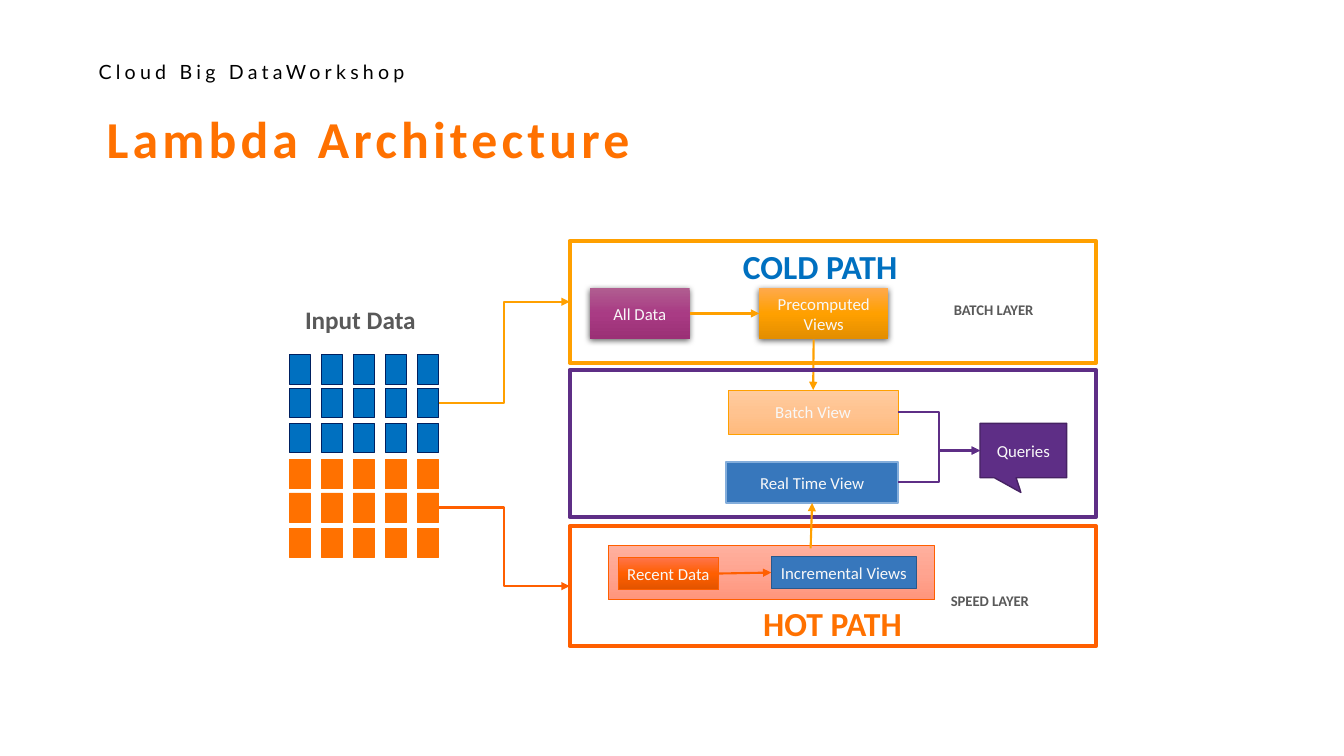
from copy import deepcopy

from lxml import etree
from pptx import Presentation
from pptx import util as u
from pptx.dml.color import RGBColor
from pptx.enum import shapes, text
from pptx.oxml import ns

TOP, LEFT, BOTTOM, RIGHT = range(4)
AMBER, ORANGE, RED = "FFA000", "FF7100", "FF5F00"
BLUE, STEEL, PURPLE = "0070C0", "3777BC", "5E2E86"
GRAY, PALE = "595959", "F8F8F8"


def rgb(value):
    return RGBColor.from_string(value)


def add_xml(parent, tag, **attributes):
    return etree.SubElement(parent, ns.qn(tag), attributes)


class Diagram:
    font_name = "Calibri"

    def __init__(self, slide):
        self.slide = slide

    def format_runs(self, paragraph, size, color, bold=False, font=None, spacing=None):
        for run in paragraph.runs:
            run.font.name = font or self.font_name
            run.font.size = u.Pt(size)
            run.font.bold = bold
            run.font.color.rgb = rgb(color)
            if spacing:
                run.font._element.set("spc", str(spacing * 100))

    def label(self, box, words, size, color, wrap=False, centered=False, line_spacing=0.9,
              insets=(0.1, 0.05), **style):
        shape = self.slide.shapes.add_textbox(*map(u.Inches, box))
        frame = shape.text_frame
        frame.text = words
        frame.word_wrap = wrap
        frame.margin_left = frame.margin_right = u.Inches(insets[0])
        frame.margin_top = frame.margin_bottom = u.Inches(insets[1])
        paragraph = frame.paragraphs[0]
        paragraph.line_spacing = line_spacing
        paragraph.alignment = text.PP_ALIGN.CENTER if centered else text.PP_ALIGN.LEFT
        self.format_runs(paragraph, size, color, **style)

    def box(self, box, words="", fill=None, line=None, width=0.5, shadow=False,
            kind=shapes.MSO_SHAPE.RECTANGLE):
        shape = self.slide.shapes.add_shape(kind, *map(u.Inches, box))
        shape.shadow.inherit = False
        if fill is None:
            shape.fill.background()
        elif isinstance(fill, str):
            shape.fill.solid()
            shape.fill.fore_color.rgb = rgb(fill)
        else:
            self.gradient(shape, fill)
        if line:
            shape.line.color.rgb = rgb(line)
            shape.line.width = u.Pt(width)
        else:
            shape.line.fill.background()
        if shadow:
            self.drop_shadow(shape)
        if words:
            frame = shape.text_frame
            frame.text = words
            frame.word_wrap = True
            frame.vertical_anchor = text.MSO_ANCHOR.MIDDLE
            frame.margin_left = frame.margin_right = 0
            frame.margin_top = frame.margin_bottom = u.Inches(0.04)
            frame.paragraphs[0].alignment = text.PP_ALIGN.CENTER
            self.format_runs(frame.paragraphs[0], 12, PALE)
        return shape

    def gradient(self, shape, colors):
        """Vertical three-stop gradient, from top to bottom."""
        shape.fill.gradient()
        shape.fill.gradient_angle = 270
        stops = next(shape._element.spPr.iter(ns.qn("a:gsLst")))
        stops.insert(1, deepcopy(stops[0]))
        for stop, color, position in zip(shape.fill.gradient_stops, colors, (0, 0.5, 1)):
            stop.color.rgb = rgb(color)
            stop.position = position

    def drop_shadow(self, shape):
        effects = shape._element.spPr.find(ns.qn("a:effectLst"))
        outer = add_xml(effects, "a:outerShdw", blurRad=str(u.Pt(4.5)), dist=str(u.Pt(1.5)),
                        dir="5400000", algn="ctr", rotWithShape="0")
        add_xml(add_xml(outer, "a:srgbClr", val="000000"), "a:alpha", val="63000")

    def arrow(self, start, end, color, bent=False):
        """Each end is an (x, y) point or a (shape, side) pair."""
        kind = shapes.MSO_CONNECTOR.ELBOW if bent else shapes.MSO_CONNECTOR.STRAIGHT
        points = [(0, 0) if hasattr(first, "shape_id") else (u.Inches(first), u.Inches(second))
                  for first, second in (start, end)]
        connector = self.slide.shapes.add_connector(kind, *points[0], *points[1])
        if hasattr(start[0], "shape_id"):
            connector.begin_connect(*start)
        if hasattr(end[0], "shape_id"):
            connector.end_connect(*end)
        connector.line.color.rgb = rgb(color)
        connector.line.width = u.Pt(1.5)
        add_xml(connector.line._get_or_add_ln(), "a:tailEnd", type="triangle")
        add_xml(connector._element.spPr, "a:effectLst")


def main():
    presentation = Presentation()
    presentation.slide_width = u.Inches(13.33)
    presentation.slide_height = u.Inches(7.5)
    diagram = Diagram(presentation.slides.add_slide(presentation.slide_layouts[6]))

    # Headings
    diagram.label((0.88, 0.55, 8.03, 0.34), "Cloud Big DataWorkshop", 14, "000000",
                  wrap=True, line_spacing=1, font="Lato", spacing=3)
    diagram.label((0.96, 1.08, 5.5, 0.79), "Lambda Architecture", 37, ORANGE,
                  wrap=True, bold=True, spacing=3)

    # Cold path and batch view
    all_data = diagram.box((5.85, 2.86, 0.99, 0.5), "All Data",
                           ("B05D90", "A93B84", "9B3076"), shadow=True)
    precomputed = diagram.box((7.53, 2.86, 1.28, 0.5), "Precomputed Views",
                              ("FFA94B", AMBER, "E38E00"), shadow=True)
    batch_view = diagram.box((7.22, 3.87, 1.69, 0.44), "Batch View",
                             ("FFCB9E", "FFC390", "FFBA7C"), AMBER)
    diagram.arrow((all_data, RIGHT), (precomputed, LEFT), AMBER)
    diagram.arrow((8.07, 3.37), (batch_view, TOP), AMBER)

    # Layer frames
    cold_frame, _, hot_frame = [
        diagram.box((5.65, top, 5.22, height), line=color, width=3)
        for top, height, color in ((2.39, 1.21, AMBER), (3.67, 1.46, PURPLE), (5.22, 1.19, RED))]

    # Hot path and real time view
    diagram.box((6.03, 5.41, 3.24, 0.54), fill=("FFB09E", "FFA490", "FF957C"), line=RED)
    real_time = diagram.box((7.2, 4.58, 1.71, 0.41), "Real Time View", STEEL, "83ADDB", 1.5)
    recent = diagram.box((6.13, 5.53, 1, 0.32), "Recent Data", ("FF744B", RED, "E35400"), RED)
    incremental = diagram.box((7.65, 5.52, 1.44, 0.32), "Incremental Views",
                              STEEL, "29588B", 1)
    diagram.arrow((recent, RIGHT), (incremental, LEFT), RED)
    diagram.arrow((8.04, 5.44), (real_time, BOTTOM), AMBER)

    # Queries
    queries = diagram.box((9.72, 4.2, 0.86, 0.54), "Queries", PURPLE, "462263", 1,
                          kind=shapes.MSO_SHAPE.RECTANGULAR_CALLOUT)
    queries.adjustments[0], queries.adjustments[1] = -0.028, 0.769
    for view in (batch_view, real_time):
        diagram.arrow((view, RIGHT), (queries, LEFT), PURPLE, bent=True)

    # Input data grid: three blue rows above three orange rows
    diagram.label((2.91, 3, 1.33, 0.37), "Input Data", 18, GRAY,
                  wrap=True, centered=True, bold=True)
    row_ends = []
    for row, top in enumerate((3.52, 3.85, 4.2, 4.56, 4.89, 5.24)):
        fill, line = (BLUE, "002060") if row < 3 else (ORANGE, ORANGE)
        for column in range(5):
            cell = diagram.box((2.87 + column * 1.27 / 4, top, 0.21, 0.29), fill=fill, line=line)
        row_ends.append(cell)
    diagram.arrow((row_ends[1], RIGHT), (cold_frame, LEFT), AMBER, bent=True)
    diagram.arrow((row_ends[4], RIGHT), (hot_frame, LEFT), RED, bent=True)

    # Path and layer names
    diagram.label((7.27, 2.44, 1.75, 0.46), "COLD PATH", 24, BLUE, bold=True)
    diagram.label((7.47, 5.98, 1.59, 0.46), "HOT PATH", 24, ORANGE, bold=True)
    for box, words in (((9.31, 2.93, 1.14, 0.4), "BATCH LAYER"),
                       ((9.28, 5.81, 1.11, 0.4), "SPEED LAYER")):
        diagram.label(box, words, 10.5, GRAY, insets=(0.15, 0.12), bold=True)

    presentation.save("out.pptx")


if __name__ == "__main__":
    main()
